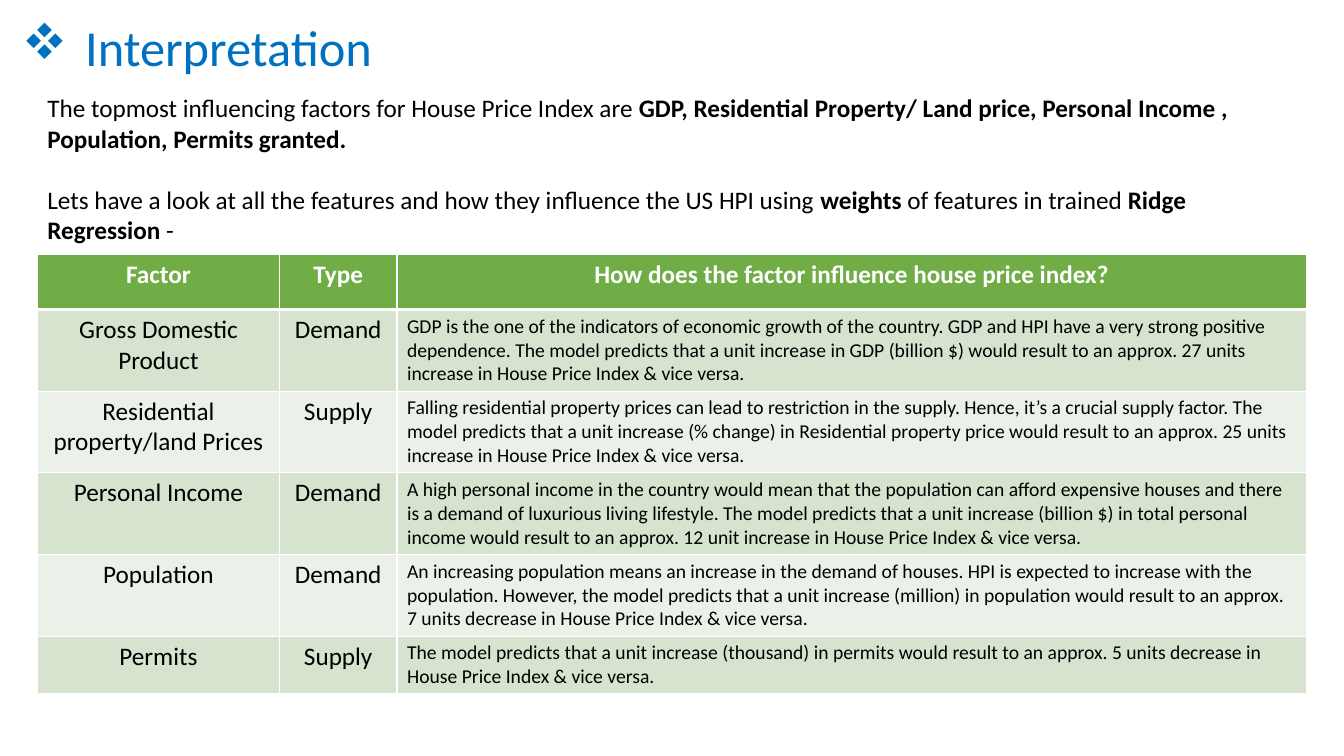
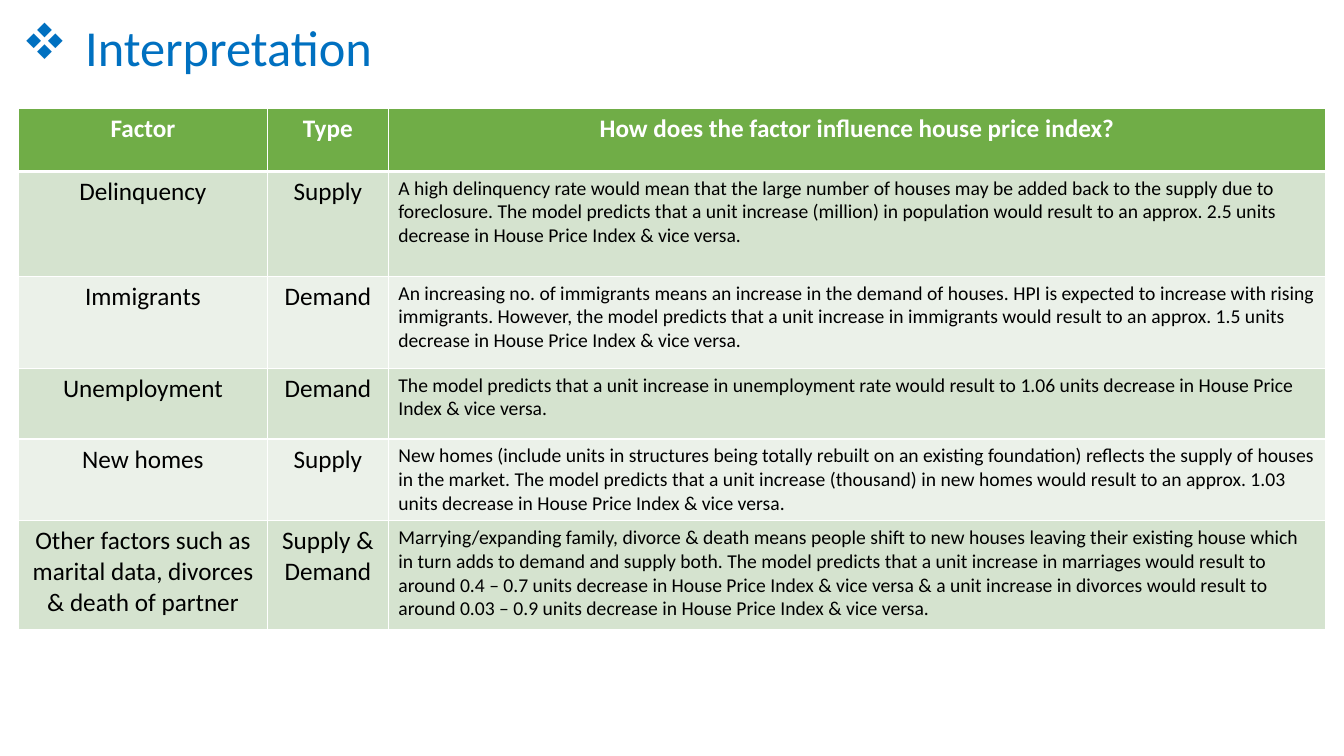
import pptx
import pptx.util
import pptx.dml.color
import pptx.enum.text
import pptx.oxml.ns
from lxml import etree

Pt = pptx.util.Pt
RGBColor = pptx.dml.color.RGBColor
PP_ALIGN = pptx.enum.text.PP_ALIGN
ANCHOR = pptx.enum.text.MSO_ANCHOR
AUTO_SIZE = pptx.enum.text.MSO_AUTO_SIZE
qn = pptx.oxml.ns.qn

HEADING_BLUE = RGBColor(0x00, 0x70, 0xC0)
HEADER_GREEN = RGBColor(0x70, 0xAD, 0x47)
BAND_GREENS = (RGBColor(0xD5, 0xE3, 0xCF), RGBColor(0xEB, 0xF1, 0xE9))
WHITE = RGBColor(0xFF, 0xFF, 0xFF)
BLACK = RGBColor(0x00, 0x00, 0x00)
FONT = "Calibri"

HEADING = "Interpretation"
COLUMN_HEADS = ("Factor", "Type", "How does the factor influence house price index?")

# Each paragraph is a list of (text, bold).
INTRODUCTION = [
    [
        ("The topmost influencing factors for House Price Index are ", False),
        ("GDP, Residential Property/ Land price, Personal Income , "
         "Population, Permits granted.", True),
    ],
    [
        ("Lets have a look at all the features and how they influence "
         "the US HPI using ", False),
        ("weights", True),
        (" of features in trained ", False),
        ("Ridge Regression ", True),
        ("-", False),
    ],
]

MAIN_FACTORS = [
    ("Gross Domestic Product", "Demand",
     "GDP is the one of the indicators of economic growth of the country. "
     "GDP and HPI have a very strong positive dependence. The model predicts "
     "that a unit increase in GDP (billion $) would result to an approx. "
     "27 units increase in House Price Index & vice versa."),
    ("Residential property/land Prices", "Supply",
     "Falling residential property prices can lead to restriction in the "
     "supply. Hence, it’s a crucial supply factor. The model predicts that a "
     "unit increase (% change) in Residential property price would result to "
     "an approx. 25 units increase in House Price Index & vice versa."),
    ("Personal Income", "Demand",
     "A high personal income in the country would mean that the population "
     "can afford expensive houses and there is a demand of luxurious living "
     "lifestyle. The model predicts that a unit increase (billion $) in total "
     "personal income would result to an approx. 12 unit increase in House "
     "Price Index & vice versa."),
    ("Population", "Demand",
     "An increasing population means an increase in the demand of houses. HPI "
     "is expected to increase with the population. However, the model "
     "predicts that a unit increase (million) in population would result to "
     "an approx. 7 units decrease in House Price Index & vice versa."),
    ("Permits", "Supply",
     "The model predicts that a unit increase (thousand) in permits would "
     "result to an approx. 5 units decrease in House Price Index & vice versa."),
]

FURTHER_FACTORS = [
    ("Delinquency", "Supply",
     "A high delinquency rate would mean that the large number of houses may "
     "be added back to the supply due to foreclosure. The model predicts that "
     "a unit increase (million) in population would result to an approx. 2.5 "
     "units decrease in House Price Index & vice versa."),
    ("Immigrants", "Demand",
     "An increasing no. of immigrants means an increase in the demand of "
     "houses. HPI is expected to increase with rising immigrants. However, "
     "the model predicts that a unit increase in immigrants would result to "
     "an approx. 1.5 units decrease in House Price Index & vice versa."),
    ("Unemployment", "Demand",
     "The model predicts that a unit increase in unemployment rate would "
     "result to 1.06 units decrease in House Price Index & vice versa."),
    ("New homes", "Supply",
     "New homes (include units in structures being totally rebuilt on an "
     "existing foundation) reflects the supply of houses in the market. The "
     "model predicts that a unit increase (thousand) in new homes would "
     "result to an approx. 1.03 units decrease in House Price Index & vice "
     "versa."),
    ("Other factors such as marital data, divorces & death of partner",
     "Supply & Demand",
     "Marrying/expanding family, divorce & death means people shift to new "
     "houses leaving their existing house which in turn adds to demand and "
     "supply both. The model predicts that a unit increase in marriages would "
     "result to around 0.4 – 0.7 units decrease in House Price Index & vice "
     "versa & a unit increase in divorces would result to around 0.03 – 0.9 "
     "units decrease in House Price Index & vice versa."),
]

# One entry per slide; lengths in points, header row first.
SLIDES = [
    {"introduction": INTRODUCTION, "factors": MAIN_FACTORS,
     "left": 26.8, "top": 181.6, "columns": (172.8, 84, 649.6),
     "rows": (39.5, 58.3, 58.3, 58.3, 58.3, 40.5)},
    {"introduction": None, "factors": FURTHER_FACTORS,
     "left": 13.2, "top": 77.4, "columns": (177.8, 86.4, 669.6),
     "rows": (45, 75, 65.8, 50.4, 58.3, 77.8)},
]


def style_run(run, size, color, bold=False):
    """Set the font of one run."""
    run.font.name = FONT
    run.font.size = Pt(size)
    run.font.color.rgb = color
    run.font.bold = bold


def add_heading(slide):
    """Place the slide title with its diamond bullet."""
    heading = slide.shapes.title
    heading.left, heading.top = Pt(8.6), Pt(10.1)
    heading.width, heading.height = Pt(456.5), Pt(51.8)
    frame = heading.text_frame
    frame.text = HEADING
    frame.auto_size = AUTO_SIZE.NONE
    frame.vertical_anchor = ANCHOR.MIDDLE
    line = frame.paragraphs[0]
    line.alignment = PP_ALIGN.LEFT
    line.line_spacing = 0.9
    style_run(line.runs[0], 36, HEADING_BLUE)
    properties = line._p.get_or_add_pPr()
    properties.set("marL", str(Pt(45)))
    properties.set("indent", str(Pt(-45)))
    etree.SubElement(properties, qn("a:buFont"), typeface="Wingdings",
                     pitchFamily="2", charset="2")
    etree.SubElement(properties, qn("a:buChar"), char="v")


def add_introduction(slide, paragraphs):
    """Write the opening paragraphs, one blank line's height apart."""
    box = slide.shapes.add_textbox(Pt(26.8), Pt(62.6), Pt(906.4), Pt(116.6))
    frame = box.text_frame
    frame.word_wrap = True
    for index, pieces in enumerate(paragraphs):
        paragraph = frame.add_paragraph() if index else frame.paragraphs[0]
        paragraph.space_before = Pt(22 if index else 0)
        for text, bold in pieces:
            run = paragraph.add_run()
            run.text = text
            style_run(run, 18, BLACK, bold)


def add_borders(cell, bottom_width):
    """Draw white borders around a cell, 1 pt except for the bottom one."""
    properties = cell._tc.get_or_add_tcPr()
    for side, width in (("L", 1), ("R", 1), ("T", 1), ("B", bottom_width)):
        line = etree.SubElement(properties, qn("a:ln" + side), w=str(Pt(width)))
        fill = etree.SubElement(line, qn("a:solidFill"))
        etree.SubElement(fill, qn("a:srgbClr"), val=str(WHITE))


def add_factor_table(slide, factors, left, top, columns, rows):
    """Build the banded table of factors."""
    table = slide.shapes.add_table(
        len(rows), len(columns), Pt(left), Pt(top),
        Pt(sum(columns)), Pt(sum(rows))).table
    for column, width in zip(table.columns, columns):
        column.width = Pt(width)
    for row, height in zip(table.rows, rows):
        row.height = Pt(height)
    for r, texts in enumerate([COLUMN_HEADS] + factors):
        is_header = r == 0
        for c, text in enumerate(texts):
            is_explanation = c == 2 and not is_header
            cell = table.cell(r, c)
            add_borders(cell, 3 if is_header else 1)
            cell.fill.solid()
            cell.fill.fore_color.rgb = (
                HEADER_GREEN if is_header else BAND_GREENS[(r - 1) % 2])
            cell.text_frame.text = text
            paragraph = cell.text_frame.paragraphs[0]
            paragraph.alignment = (
                PP_ALIGN.LEFT if is_explanation else PP_ALIGN.CENTER)
            style_run(paragraph.runs[0], 14 if is_explanation else 18,
                      WHITE if is_header else BLACK, is_header)


def main():
    """Build both slides and save them."""
    deck = pptx.Presentation()
    deck.slide_width, deck.slide_height = Pt(960), Pt(540)
    for content in SLIDES:
        slide = deck.slides.add_slide(deck.slide_layouts[5])
        add_heading(slide)
        add_factor_table(slide, content["factors"], content["left"],
                         content["top"], content["columns"], content["rows"])
        if content["introduction"]:
            add_introduction(slide, content["introduction"])
    deck.save("out.pptx")


main()
